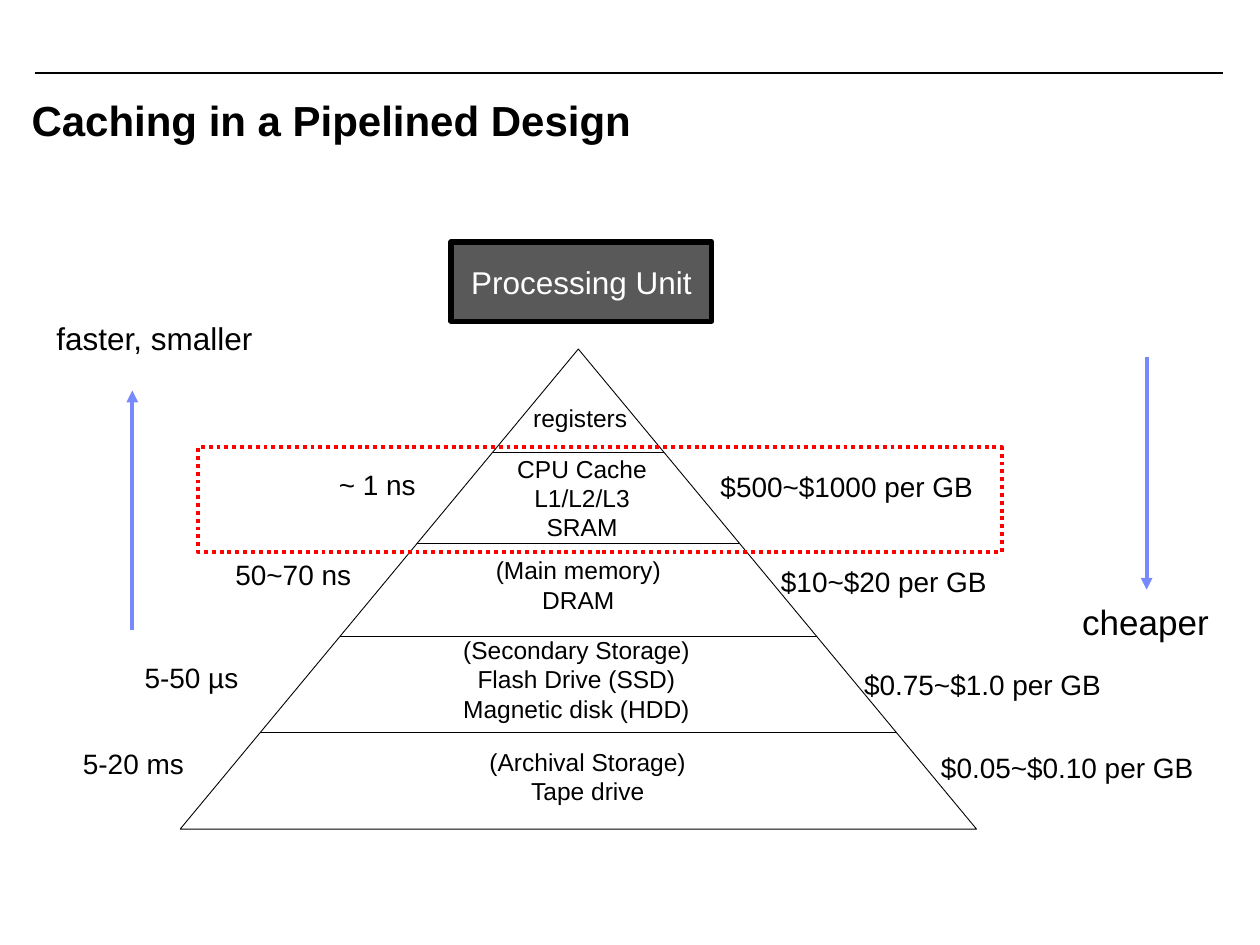
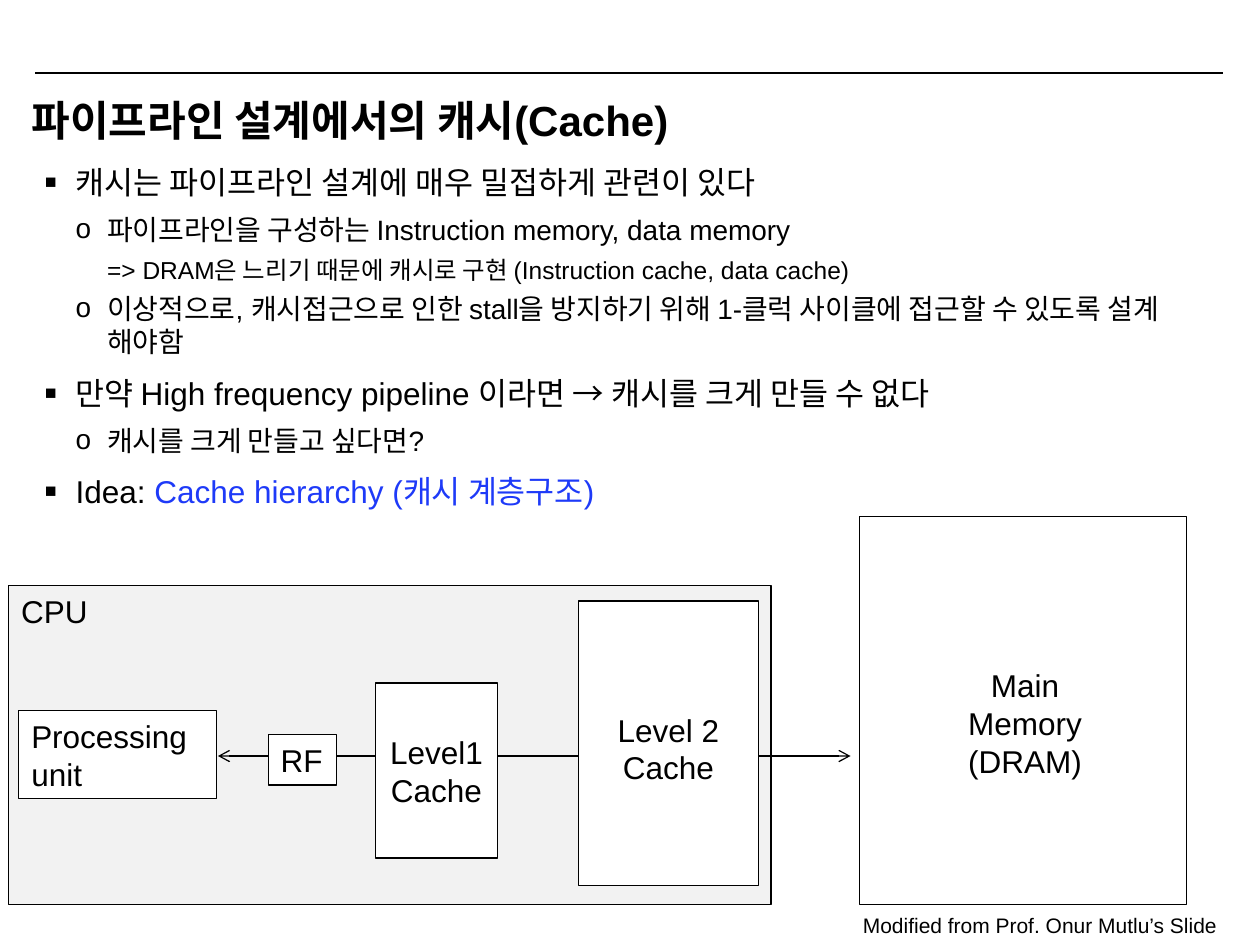
from dataclasses import dataclass

from lxml import etree
from pptx import Presentation
from pptx.dml.color import RGBColor
from pptx.enum.dml import MSO_LINE
from pptx.enum.shapes import MSO_CONNECTOR, MSO_SHAPE
from pptx.enum.text import MSO_ANCHOR, MSO_AUTO_SIZE, PP_ALIGN
from pptx.oxml.ns import qn
from pptx.util import Inches, Pt

RECTANGLE, TRIANGLE = MSO_SHAPE.RECTANGLE, MSO_SHAPE.ISOSCELES_TRIANGLE
STRAIGHT = MSO_CONNECTOR.STRAIGHT
LEFT, CENTER = PP_ALIGN.LEFT, PP_ALIGN.CENTER
TOP, MIDDLE = MSO_ANCHOR.TOP, MSO_ANCHOR.MIDDLE
NO_RESIZE = MSO_AUTO_SIZE.NONE
DOTTED = MSO_LINE.ROUND_DOT


@dataclass(frozen=True)
class Theme:
    font: str = "Arial"
    black: str = "000000"
    white: str = "FFFFFF"
    dark_gray: str = "595959"
    light_gray: str = "F2F2F2"
    arrow_blue: str = "7889FB"
    idea_blue: str = "1E3AF8"
    red: str = "FF0000"
    title: int = 24
    large: int = 20
    text: int = 18
    label: int = 16
    small: int = 14
    note: int = 12
    hairline: float = 0.5
    thin: float = 0.75
    arrow: float = 2.25
    thick: float = 3


theme = Theme()


def add_box(slide, at, lines=(), size=theme.text, color=theme.black, align=LEFT,
            anchor=TOP, wrap=False, fill=None, line=None, width=theme.thin,
            preset=RECTANGLE):
    """Add a preset shape, or a plain text box when it has no fill and no line."""
    place = [Inches(value) for value in at]
    if fill or line:
        shape = slide.shapes.add_shape(preset, *place)
        shape.shadow.inherit = False
        if fill:
            shape.fill.solid()
            shape.fill.fore_color.rgb = RGBColor.from_string(fill)
        else:
            shape.fill.background()
        shape.line.color.rgb = RGBColor.from_string(line)
        shape.line.width = Pt(width)
    else:
        shape = slide.shapes.add_textbox(*place)
    frame = shape.text_frame
    settings = {"word_wrap": wrap, "auto_size": NO_RESIZE, "vertical_anchor": anchor}
    for name, value in settings.items():
        setattr(frame, name, value)
    for index, text in enumerate(lines):
        paragraph = frame.add_paragraph() if index else frame.paragraphs[0]
        paragraph.alignment = align
        run = paragraph.add_run()
        run.text = text
        run.font.color.rgb = RGBColor.from_string(color)
        for name, value in {"name": theme.font, "size": Pt(size)}.items():
            setattr(run.font, name, value)
    return shape


def add_line(slide, start, end, color=theme.black, width=theme.thin, **ends):
    """Add a straight line; ends may name headEnd and tailEnd arrow types."""
    points = [Inches(value) for value in (*start, *end)]
    connector = slide.shapes.add_connector(STRAIGHT, *points)
    connector.line.color.rgb = RGBColor.from_string(color)
    connector.line.width = Pt(width)
    outline = connector.line._get_or_add_ln()
    for tag, kind in ends.items():
        etree.SubElement(outline, qn(f"a:{tag}"), type=kind)
    etree.SubElement(connector._element.spPr, qn("a:effectLst"))
    return connector


presentation = Presentation()
presentation.slide_width, presentation.slide_height = Inches(10), Inches(7.5)
title_only, title_and_body = (presentation.slide_layouts[index] for index in (5, 1))

# Titles, shared by both slides
slides = []
for layout, title in ((title_only, "Caching in a Pipelined Design"),
                      (title_and_body, "파이프라인 설계에서의 캐시(Cache)")):
    slide = presentation.slides.add_slide(layout)
    slides.append(slide)
    shape = slide.shapes.title
    shape.left, shape.top, shape.width, shape.height = map(Inches, (0.25, 0.75, 9.42, 0.67))
    frame = shape.text_frame
    frame.text = title
    settings = {"margin_left": 0, "margin_top": 0, "margin_right": 0, "margin_bottom": 0,
                "vertical_anchor": TOP, "auto_size": NO_RESIZE}
    for name, value in settings.items():
        setattr(frame, name, value)
    paragraph = frame.paragraphs[0]
    paragraph.alignment = LEFT
    font = paragraph.runs[0].font
    font.color.rgb = RGBColor.from_string(theme.black)
    for name, value in {"name": theme.font, "size": Pt(theme.title), "bold": True}.items():
        setattr(font, name, value)
pyramid_slide, hierarchy_slide = slides

# Rule above the titles, kept on the slide master
rule = add_line(pyramid_slide, (0.28, 0.58), (9.71, 0.58))
presentation.slide_master.shapes._spTree.append(rule._element)

# Slide 1: memory pyramid
left, top, width, height = 1.43, 2.77, 6.32, 3.81
add_box(pyramid_slide, (left, top, width, height), fill=theme.white, line=theme.black,
        width=theme.hairline, preset=TRIANGLE)
apex = left + width / 2
for y in (3.59, 4.31, 5.05, 5.81):
    half = width / 2 * (y - top) / height
    add_line(pyramid_slide, (apex - half, y), (apex + half, y), width=theme.hairline)

levels = [
    ((4.13, 3.15, 0.95, 0.34), ["registers"]),
    ((4, 3.55, 1.24, 0.81), ["CPU Cache", "L1/L2/L3", "SRAM"]),
    ((3.83, 4.36, 1.52, 0.57), ["(Main memory)", "DRAM"]),
    ((3.57, 4.99, 2.01, 0.81),
     ["(Secondary Storage)", "Flash Drive (SSD)", "Magnetic disk (HDD)"]),
    ((3.78, 5.88, 1.77, 0.57), ["(Archival Storage)", "Tape drive"]),
]
for place, lines in levels:
    add_box(pyramid_slide, place, lines, theme.small, align=CENTER)

# Access times on the left, prices on the right
labels = [
    (2.59, 3.66, 0.82, "~ 1 ns"), (5.62, 3.68, 2.23, "$500~$1000 per GB"),
    (1.77, 4.38, 1.13, "50~70 ns"), (6.1, 4.43, 1.86, "$10~$20 per GB"),
    (1.05, 5.19, 0.96, "5-50 µs"), (6.76, 5.25, 2.11, "$0.75~$1.0 per GB"),
    (0.56, 5.88, 1.01, "5-20 ms"), (7.37, 5.91, 2.23, "$0.05~$0.10 per GB"),
]
for x, y, label_width, text in labels:
    add_box(pyramid_slide, (x, y, label_width, 0.37), [text], theme.label)

# Trend arrows
for start, end in (((1.05, 5), (1.05, 3.1)), ((9.1, 2.83), (9.1, 4.68))):
    add_line(pyramid_slide, start, end, theme.arrow_blue, theme.arrow, tailEnd="triangle")
add_box(pyramid_slide, (0.35, 2.48, 1.77, 0.4), ["faster, smaller"])
add_box(pyramid_slide, (8.49, 4.72, 1.22, 0.44), ["cheaper"], theme.large)

# Processing unit and highlight of the cache level
add_box(pyramid_slide, (3.58, 1.92, 2.07, 0.63), ["Processing Unit"], color=theme.white,
        align=CENTER, anchor=MIDDLE, fill=theme.dark_gray, line=theme.black,
        width=theme.thick)
highlight = add_box(pyramid_slide, (1.57, 3.55, 6.38, 0.83), line=theme.red,
                    width=theme.arrow)
highlight.line.dash_style = DOTTED

# Slide 2: bullet list, one format for each level
formats = [
    {"size": theme.text, "before": 0.35, "after": 0.15, "margin": 0.25, "hang": -0.25,
     "bullet": "▪", "scale": 120},
    {"size": theme.label, "before": 0.25, "after": 0.15, "margin": 0.5, "hang": -0.25,
     "bullet": "o", "scale": 100},
    {"size": theme.small, "before": 0.2, "after": 0, "margin": 0.5, "hang": 0,
     "bullet": None},
]
items = [
    (0, "캐시는 파이프라인 설계에 매우 밀접하게 관련이 있다", ""),
    (1, "파이프라인을 구성하는 Instruction memory, data memory", ""),
    (2, "=> DRAM은 느리기 때문에 캐시로 구현 (Instruction cache, data cache)", ""),
    (1, "이상적으로, 캐시접근으로 인한 stall을 방지하기 위해 1-클럭 사이클에 "
        "접근할 수 있도록 설계 해야함", ""),
    (0, "만약 High frequency pipeline 이라면 → 캐시를 크게 만들 수 없다", ""),
    (1, "캐시를 크게 만들고 싶다면?", ""),
    (0, "Idea: ", "Cache hierarchy (캐시 계층구조)"),
]
body = hierarchy_slide.placeholders[1]
body.left, body.top, body.width, body.height = map(Inches, (0.25, 1.24, 9.42, 5.68))
frame = body.text_frame
frame.auto_size = NO_RESIZE
for index, (level, text, accent) in enumerate(items):
    style = formats[level]
    paragraph = frame.add_paragraph() if index else frame.paragraphs[0]
    settings = {"level": level, "space_before": Pt(style["size"] * style["before"]),
                "space_after": Pt(style["size"] * style["after"])}
    for name, value in settings.items():
        setattr(paragraph, name, value)
    properties = paragraph._p.get_or_add_pPr()
    properties.set("marL", str(Inches(style["margin"])))
    properties.set("indent", str(Inches(style["hang"])))
    if style["bullet"]:
        bullet_color = etree.SubElement(properties, qn("a:buClr"))
        etree.SubElement(bullet_color, qn("a:srgbClr"), val=theme.black)
        etree.SubElement(properties, qn("a:buSzPct"), val=str(style["scale"] * 1000))
        etree.SubElement(properties, qn("a:buFont"), typeface=theme.font)
        etree.SubElement(properties, qn("a:buChar"), char=style["bullet"])
    else:
        etree.SubElement(properties, qn("a:buNone"))
    for part, color in ((text, theme.black), (accent, theme.idea_blue)):
        if part:
            run = paragraph.add_run()
            run.text = part
            run.font.color.rgb = RGBColor.from_string(color)
            for name, value in {"name": theme.font, "size": Pt(style["size"])}.items():
                setattr(run.font, name, value)

# CPU frame and data path, with the blocks on top of the arrow
add_box(hierarchy_slide, (0.07, 4.65, 6.05, 2.53), ["CPU"], wrap=True,
        fill=theme.light_gray, line=theme.black)
add_line(hierarchy_slide, (6.75, 6), (1.73, 6), headEnd="arrow", tailEnd="arrow")
blocks = [
    ((0.15, 5.64, 1.57, 0.7), ["Processing unit"], True, theme.white),
    ((2.13, 5.83, 0.54, 0.4), ["RF"], False, theme.white),
    ((2.98, 5.42, 0.97, 1.39), [], True, theme.white),
    ((4.59, 4.77, 1.43, 2.26), [], True, theme.white),
    ((6.82, 4.1, 2.6, 3.08), [], True, None),
]
for place, lines, wrap, fill in blocks:
    add_box(hierarchy_slide, place, lines, wrap=wrap, fill=fill, line=theme.black)

# Names of the memories
names = [
    ((2.98, 5.77, 0.97, 0.71), ["Level1", "Cache"]),
    ((4.59, 5.59, 1.43, 0.71), ["Level 2", "Cache"]),
    ((7.58, 5.24, 1.11, 1.01), ["Main", "Memory", "(DRAM)"]),
]
for place, lines in names:
    add_box(hierarchy_slide, place, lines, align=CENTER, wrap=True)

# Credit
add_box(hierarchy_slide, (6.75, 7.19, 3.04, 0.3),
        ["Modified from Prof. Onur Mutlu’s Slide"], theme.note)

presentation.save("out.pptx")
